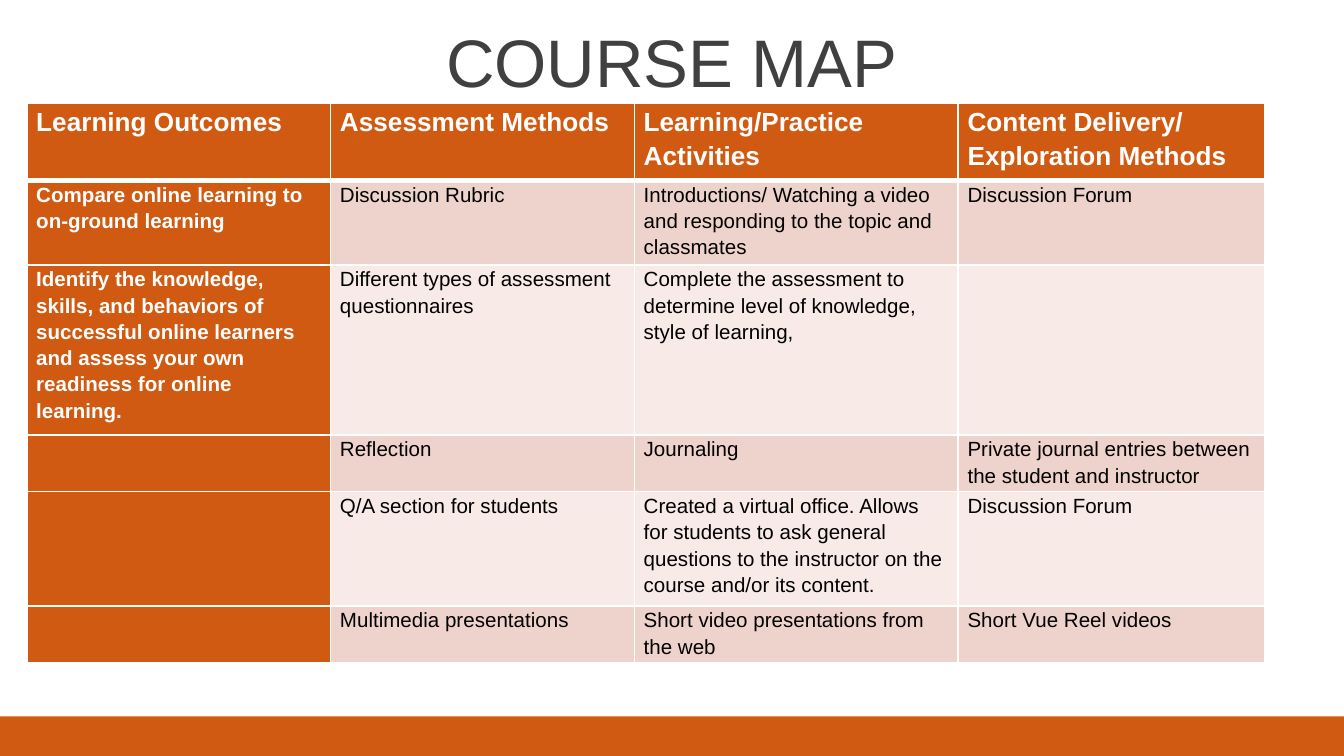
import pptx
import pptx.dml.color
import pptx.enum.shapes
import pptx.enum.text
import pptx.oxml
import pptx.oxml.ns
import pptx.util

Inches = pptx.util.Inches
Pt = pptx.util.Pt

FONT = "Arial"
ORANGE, WHITE, BLACK, GREY = "D15A12", "FFFFFF", "000000", "404040"
BANDS = ["EED2CC", "F7EAE7"]
WIDTHS = [2.26, 2.26, 2.41, 2.28]
HEIGHTS = [0.57, 0.63, 1.06, 0.42, 0.85, 0.42]
ROWS = [
    ["Learning Outcomes", "Assessment Methods", "Learning/Practice Activities",
     "Content Delivery/\nExploration Methods"],
    ["Compare online learning to on-ground learning", "Discussion Rubric",
     "Introductions/ Watching a video and responding to the topic and classmates",
     "Discussion Forum"],
    ["Identify the knowledge, skills, and behaviors of successful online learners "
     "and assess your own readiness for online learning.",
     "Different types of assessment questionnaires",
     "Complete the assessment to determine level of knowledge, style of learning,", ""],
    ["", "Reflection", "Journaling",
     "Private journal entries between the student and instructor"],
    ["", "Q/A section for students",
     "Created a virtual office. Allows for students to ask general questions to the "
     "instructor on the course and/or its content.", "Discussion Forum"],
    ["", "Multimedia presentations", "Short video presentations from the web",
     "Short Vue Reel videos"],
]


def color(code):
    """Turn a hex string into a colour."""
    return pptx.dml.color.RGBColor.from_string(code)


def paint(part, code):
    """Give a shape or cell a solid fill."""
    part.fill.solid()
    part.fill.fore_color.rgb = color(code)


def write(para, text, size, code, bold=False):
    """Add styled runs to a paragraph, one for each line."""
    for num, line in enumerate(text.split("\n")):
        if num:
            para.add_line_break()
        run = para.add_run()
        run.text = line
        run.font.name = FONT
        run.font.size = Pt(size)
        run.font.bold = bold
        run.font.color.rgb = color(code)


def edge(cell, side, width):
    """Draw one white border of a cell."""
    space = pptx.oxml.ns.nsdecls("a")
    line = pptx.oxml.parse_xml(
        f'<a:ln{side} {space} w="{Pt(width)}"><a:solidFill>'
        f'<a:srgbClr val="{WHITE}"/></a:solidFill></a:ln{side}>')
    cell._tc.get_or_add_tcPr().append(line)


def footer(slide, left, top, width, height):
    """Place the band along the bottom."""
    band = slide.shapes.add_shape(
        pptx.enum.shapes.MSO_SHAPE.RECTANGLE,
        Inches(left), Inches(top), Inches(width), Inches(height))
    band.shadow.inherit = False
    paint(band, ORANGE)
    band.line.fill.background()


def title(slide, left, top, width, height):
    """Place the centred heading."""
    box = slide.shapes.add_textbox(
        Inches(left), Inches(top), Inches(width), Inches(height))
    frame = box.text_frame
    frame.word_wrap = True
    frame.vertical_anchor = pptx.enum.text.MSO_ANCHOR.MIDDLE
    para = frame.paragraphs[0]
    para.alignment = pptx.enum.text.PP_ALIGN.CENTER
    write(para, "COURSE MAP", 36, GREY)


def fill_cell(cell, text, row, col):
    """Style one cell of the map by its row and column."""
    head = row == 0
    key = head or col == 0
    cell.margin_left = cell.margin_right = Inches(0.07)
    cell.margin_top = cell.margin_bottom = 0
    for side in "LRTB":
        thick = (side == "B" and head) or (side == "T" and row == 1)
        edge(cell, side, 3 if thick else 1)
    paint(cell, ORANGE if key else BANDS[(row - 1) % 2])
    if text:
        para = cell.text_frame.paragraphs[0]
        para.line_spacing = 1.15
        para.space_before = Pt(12 if head else 6)
        para.space_after = Pt(6)
        write(para, text, 14 if head else 11, WHITE if key else BLACK, key)


def course_map(slide, left, top, width, height):
    """Place the table of outcomes and methods."""
    grid = slide.shapes.add_table(
        len(ROWS), len(WIDTHS),
        Inches(left), Inches(top), Inches(width), Inches(height)).table
    for col, size in zip(grid.columns, WIDTHS):
        col.width = Inches(size)
    for row, size in zip(grid.rows, HEIGHTS):
        row.height = Inches(size)
    for row, texts in enumerate(ROWS):
        for col, text in enumerate(texts):
            fill_cell(grid.cell(row, col), text, row, col)


def main():
    """Build and save the slide."""
    deck = pptx.Presentation()
    wide, high = 10, 10 * 9 / 16
    deck.slide_width, deck.slide_height = Inches(wide), Inches(high)
    slide = deck.slides.add_slide(deck.slide_layouts[6])
    footer(slide, 0, 5.33, wide, high - 5.33)
    title(slide, 0, 0.14, wide, 0.63)
    course_map(slide, 0.2, 0.77, sum(WIDTHS), sum(HEIGHTS))
    deck.save("out.pptx")


if __name__ == "__main__":
    main()
